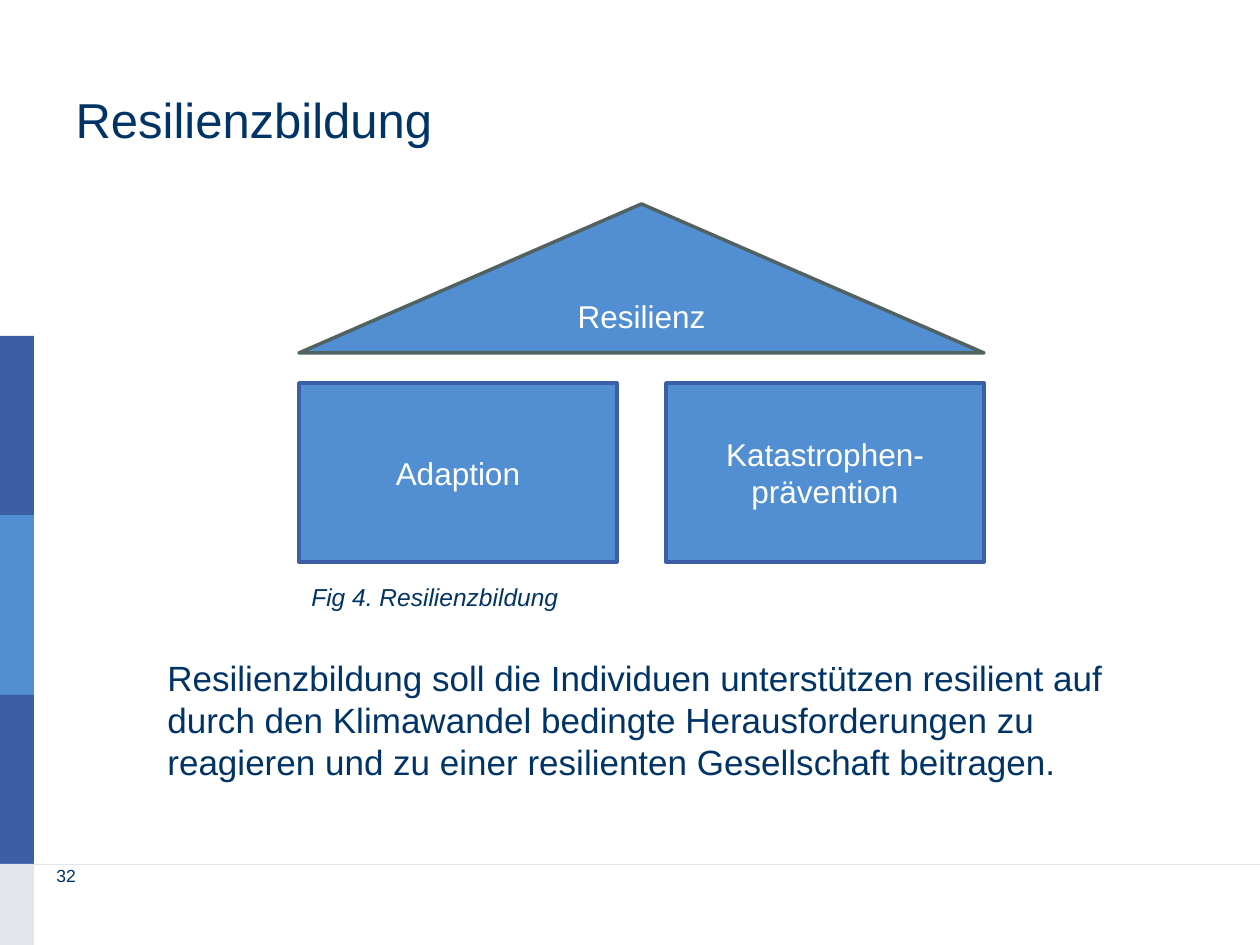
from lxml.etree import SubElement
from pptx import Presentation
from pptx.dml.color import RGBColor
from pptx.enum.shapes import MSO_CONNECTOR, MSO_SHAPE
from pptx.enum.text import MSO_ANCHOR, PP_ALIGN
from pptx.oxml.ns import qn
from pptx.util import Pt

NAVY = RGBColor(0x00, 0x33, 0x66)
DARK_BLUE = RGBColor(0x3C, 0x5E, 0xA6)
LIGHT_BLUE = RGBColor(0x51, 0x8F, 0xD2)
SLATE = RGBColor(0x52, 0x62, 0x63)
PALE_GREY = RGBColor(0xE4, 0xE5, 0xEA)
WHITE = RGBColor(0xFF, 0xFF, 0xFF)
FONT = "Arial"

TITLE = "Resilienzbildung"
ROOF = "Resilienz"
PILLARS = ["Adaption", "Katastrophen-prävention"]
CAPTION = "Fig 4. Resilienzbildung"
STATEMENT = (
    "Resilienzbildung soll die Individuen unterstützen resilient auf durch den "
    "Klimawandel bedingte Herausforderungen zu reagieren und zu einer "
    "resilienten Gesellschaft beitragen."
)
PAGE_NUMBER = "32"

# Lengths in px, 126 to the inch
SLIDE_WIDTH, SLIDE_HEIGHT = 1260, 945
BAND_WIDTH = 34
BAND_TOP = 336
BANDS = [(179, DARK_BLUE), (180, LIGHT_BLUE), (169, DARK_BLUE), (81, PALE_GREY)]
FOOTER_TOP = 864
HOUSE_LEFT, HOUSE_WIDTH = 299, 685
ROOF_TOP, ROOF_HEIGHT = 204, 149
PILLAR_TOP, PILLAR_WIDTH, PILLAR_HEIGHT = 383, 318, 179


def px(length):
    return round(length * 914400 / 126)


def write(shape, text, size, color, align=PP_ALIGN.LEFT, anchor=MSO_ANCHOR.TOP, italic=None):
    frame = shape.text_frame
    frame.word_wrap = True
    frame.vertical_anchor = anchor
    paragraph = frame.paragraphs[0]
    paragraph.alignment = align
    run = paragraph.add_run()
    run.text = text
    run.font.name = FONT
    run.font.size = Pt(size)
    run.font.color.rgb = color
    run.font.italic = italic
    return paragraph


def add_block(slide, kind, box, fill, line=None, text=None):
    shape = slide.shapes.add_shape(kind, *map(px, box))
    shape.shadow.inherit = False
    shape.fill.solid()
    shape.fill.fore_color.rgb = fill
    if line is None:
        shape.line.fill.background()
    else:
        shape.line.color.rgb = line
        shape.line.width = Pt(2)
    if text:
        write(shape, text, 18, WHITE, PP_ALIGN.CENTER, MSO_ANCHOR.MIDDLE)


def add_text(slide, box, text, size, italic=None):
    return write(slide.shapes.add_textbox(*map(px, box)), text, size, NAVY, italic=italic)


def add_side_bands(slide):
    top = BAND_TOP
    for height, color in BANDS:
        add_block(slide, MSO_SHAPE.RECTANGLE, (0, top, BAND_WIDTH, height), color)
        top += height
    rule = slide.shapes.add_connector(
        MSO_CONNECTOR.STRAIGHT, 0, px(FOOTER_TOP), px(SLIDE_WIDTH), px(FOOTER_TOP))
    rule.line.color.rgb = PALE_GREY
    rule.line.width = Pt(0.5)
    SubElement(rule._element.spPr, qn("a:effectLst"))


def add_house(slide):
    pitch = HOUSE_WIDTH - PILLAR_WIDTH
    for index, label in enumerate(PILLARS):
        box = (HOUSE_LEFT + index * pitch, PILLAR_TOP, PILLAR_WIDTH, PILLAR_HEIGHT)
        add_block(slide, MSO_SHAPE.RECTANGLE, box, LIGHT_BLUE, DARK_BLUE, label)
    add_block(slide, MSO_SHAPE.ISOSCELES_TRIANGLE,
              (HOUSE_LEFT, ROOF_TOP, HOUSE_WIDTH, ROOF_HEIGHT), LIGHT_BLUE, SLATE, ROOF)


def main():
    presentation = Presentation()
    presentation.slide_width = px(SLIDE_WIDTH)
    presentation.slide_height = px(SLIDE_HEIGHT)
    slide = presentation.slides.add_slide(presentation.slide_layouts[5])

    add_side_bands(slide)
    title = slide.shapes.title
    title.left, title.top, title.width, title.height = map(px, (63, 40, 1134, 157))
    write(title, TITLE, 28, NAVY, anchor=MSO_ANCHOR.MIDDLE)
    add_house(slide)
    add_text(slide, (HOUSE_LEFT, 576, 515, 43), CAPTION, 14, italic=True)
    statement = add_text(slide, (130, 650, 1022, 140), STATEMENT, 20)
    statement._p.get_or_add_pPr().set("marL", str(px(25)))
    add_text(slide, (44, 859, 294, 66), PAGE_NUMBER, 10)

    presentation.save("out.pptx")


if __name__ == "__main__":
    main()
